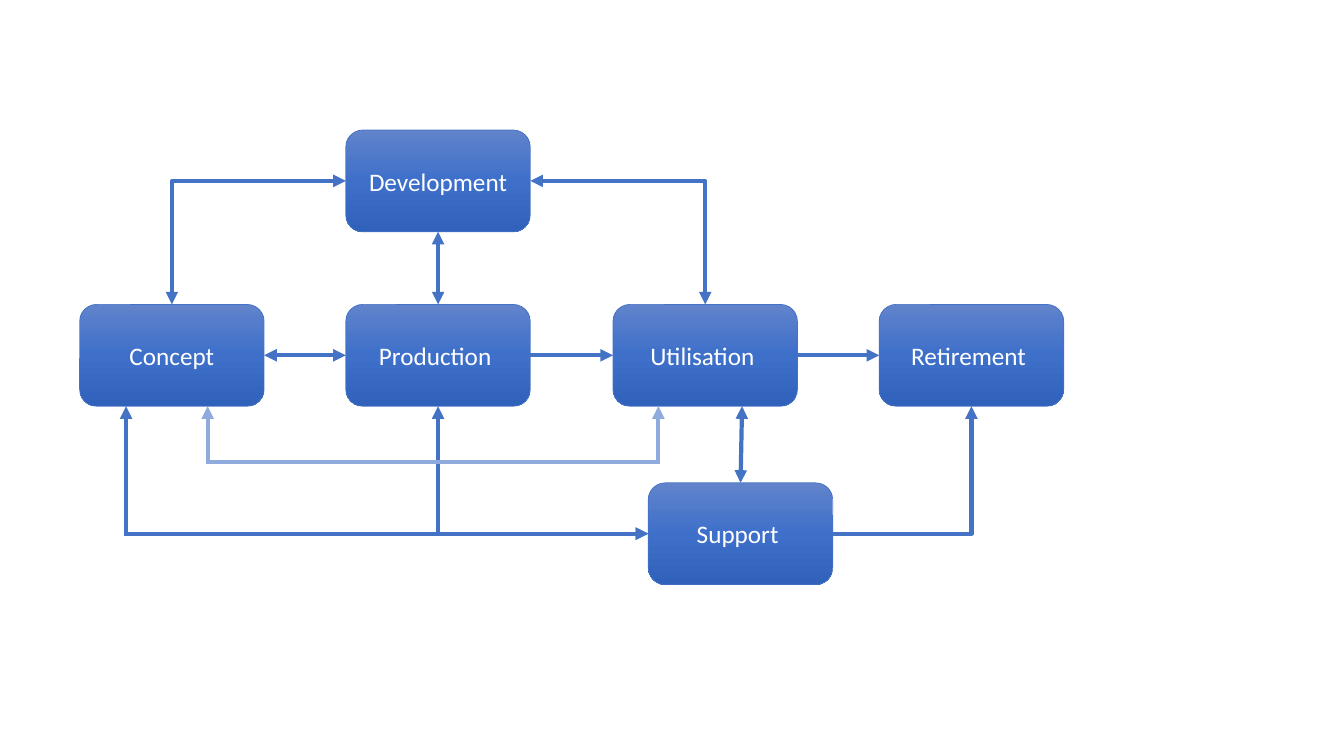
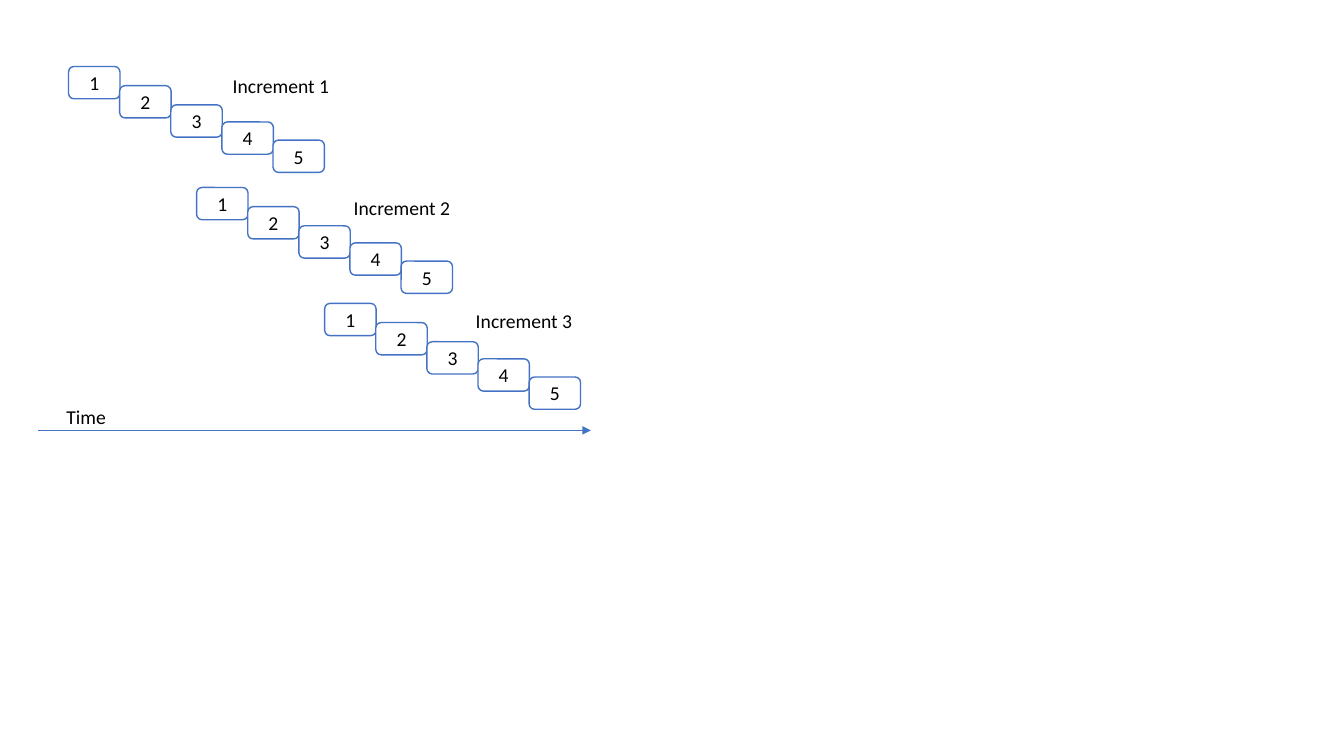
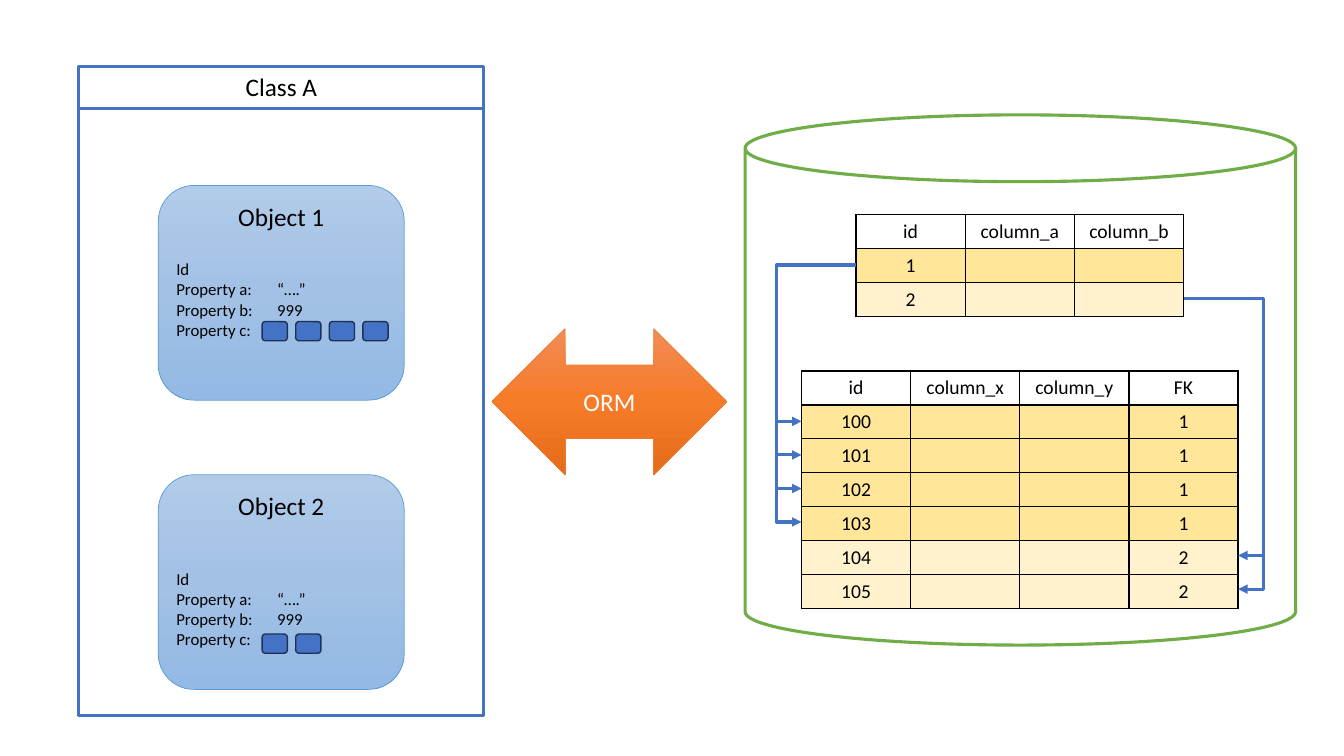
import copy

import pptx
import pptx.dml.color
import pptx.enum.shapes
import pptx.enum.text
import pptx.oxml.ns
import pptx.oxml.xmlchemy
import pptx.util

Inches = pptx.util.Inches
SHAPES = pptx.enum.shapes.MSO_SHAPE
CONNECTORS = pptx.enum.shapes.MSO_CONNECTOR
ALIGN = pptx.enum.text.PP_ALIGN
ANCHOR = pptx.enum.text.MSO_ANCHOR
qn = pptx.oxml.ns.qn
new_element = pptx.oxml.xmlchemy.OxmlElement

FONT = "Calibri"
BLUE, LIGHT_BLUE, NAVY, SKY = "4472C4", "8FAADC", "1E3256", "5B9BD5"
ORANGE, GREEN, WHITE, BLACK = "ED7D31", "70AD47", "FFFFFF", "000000"
GOLD, CREAM = "FFE699", "FFF2CC"
BLUE_GRADIENT = ("6183CB", "3E70CA", "3062BB")
SKY_GRADIENT = ("B1CBE9", "A3C1E5", "93B9E4")
ORANGE_GRADIENT = ("F18C57", "F67B28", "E56C19")
TOP, LEFT, BOTTOM, RIGHT = range(4)


def rgb(color):
    return pptx.dml.color.RGBColor.from_string(color)


def write(frame, lines, size, color=BLACK, align=ALIGN.LEFT):
    for index, line in enumerate(lines):
        paragraph = frame.paragraphs[0] if index == 0 else frame.add_paragraph()
        paragraph.alignment = align
        run = paragraph.add_run()
        run.text = line
        run.font.name = FONT
        run.font.size = pptx.util.Pt(size)
        run.font.color.rgb = rgb(color)


def paint(fill, color):
    if color is None:
        fill.background()
    elif isinstance(color, str):
        fill.solid()
        fill.fore_color.rgb = rgb(color)
    else:
        fill.gradient()
        fill.gradient_angle = 270
        first = fill.gradient_stops[0]._gs
        first.addnext(copy.deepcopy(first))
        for index, stop in enumerate(fill.gradient_stops):
            stop.position = index / 2
            stop.color.rgb = rgb(color[index])


def add_box(slide, kind, box, fill, line, width, text=None, size=18,
            color=BLACK, anchor=ANCHOR.MIDDLE):
    shape = slide.shapes.add_shape(kind, *map(Inches, box))
    shape.shadow.inherit = False
    paint(shape.fill, fill)
    shape.line.color.rgb = rgb(line)
    shape.line.width = pptx.util.Pt(width)
    if text:
        shape.text_frame.word_wrap = True
        shape.text_frame.vertical_anchor = anchor
        write(shape.text_frame, [text], size, color, ALIGN.CENTER)
    return shape


def add_label(slide, box, lines, size):
    frame = slide.shapes.add_textbox(*map(Inches, box)).text_frame
    frame.word_wrap = True
    write(frame, lines, size)


def add_line(slide, begin, end, width, color=BLUE, kind=CONNECTORS.STRAIGHT,
             head=False, tail=False):
    connector = slide.shapes.add_connector(kind, *map(Inches, begin + end))
    connector.line.color.rgb = rgb(color)
    connector.line.width = pptx.util.Pt(width)
    properties = connector._element.spPr
    line = properties.find(qn("a:ln"))
    for name, wanted in (("a:headEnd", head), ("a:tailEnd", tail)):
        if wanted:
            arrowhead = new_element(name)
            arrowhead.set("type", "triangle")
            line.append(arrowhead)
    properties.append(new_element("a:effectLst"))
    return connector


def add_route(slide, points, width, color=BLUE):
    last = len(points) - 2
    for index, (begin, end) in enumerate(zip(points, points[1:])):
        connector = add_line(slide, begin, end, width, color,
                             head=index == 0, tail=index == last)
        connector._element.spPr.find(qn("a:ln")).set("cap", "sq")


def turn_to_rotation(connector):
    frame = connector._element.spPr.find(qn("a:xfrm"))
    if frame.get("flipH") == "1":
        flipped = frame.get("flipV") == "1"
        del frame.attrib["flipH"]
        frame.set("rot", "10800000")
        frame.set("flipV", "0" if flipped else "1")


def site(shape, side):
    x, y = shape.left.inches, shape.top.inches
    width, height = shape.width.inches, shape.height.inches
    return {TOP: (x + width / 2, y), LEFT: (x, y + height / 2),
            BOTTOM: (x + width / 2, y + height),
            RIGHT: (x + width, y + height / 2)}[side]


def join(slide, source, source_side, target, target_side, head=False, corner=False):
    kind = CONNECTORS.ELBOW if corner else CONNECTORS.STRAIGHT
    connector = add_line(slide, site(source, source_side),
                         site(target, target_side), 3, kind=kind, head=head, tail=True)
    connector.begin_connect(source, source_side)
    connector.end_connect(target, target_side)
    if corner:
        connector._element.spPr.find(qn("a:prstGeom")).set("prst", "bentConnector2")
        turn_to_rotation(connector)


def add_bracket(slide, begin, end, reach):
    connector = add_line(slide, begin, end, 2.25, kind=CONNECTORS.ELBOW, tail=True)
    geometry = connector._element.spPr.find(qn("a:prstGeom"))
    values = geometry.find(qn("a:avLst"))
    if values is None:
        values = new_element("a:avLst")
        geometry.append(values)
    ratio = 1 + reach / abs(end[0] - begin[0])
    guide = new_element("a:gd")
    guide.set("name", "adj1")
    guide.set("fmla", f"val {round(ratio * 100000)}")
    values.append(guide)
    turn_to_rotation(connector)


def build_life_cycle(slide):
    places = {"Concept": (0.79, 3.02), "Development": (3.43, 1.29),
              "Production ": (3.43, 3.02), "Utilisation ": (6.08, 3.02),
              "Support ": (6.43, 4.79), "Retirement ": (8.72, 3.02)}
    concept, development, production, utilisation, support, retirement = [
        add_box(slide, SHAPES.ROUNDED_RECTANGLE, place + (1.83, 1.01),
                BLUE_GRADIENT, BLUE, 0.5, name, color=WHITE)
        for name, place in places.items()]
    join(slide, development, LEFT, concept, TOP, head=True, corner=True)
    join(slide, development, BOTTOM, production, TOP, head=True)
    join(slide, production, LEFT, concept, RIGHT, head=True)
    join(slide, development, RIGHT, utilisation, TOP, head=True, corner=True)
    join(slide, support, LEFT, production, BOTTOM, head=True, corner=True)
    join(slide, production, RIGHT, utilisation, LEFT)
    join(slide, utilisation, RIGHT, retirement, LEFT)
    join(slide, support, RIGHT, retirement, BOTTOM, corner=True)
    upkeep = add_line(slide, site(support, TOP), (7.36, 4.03), 3, head=True, tail=True)
    upkeep.begin_connect(support, TOP)
    start = site(support, LEFT)
    add_route(slide, [start, (1.25, start[1]), (1.25, 4.03)], 3)
    add_route(slide, [(6.53, 4.03), (6.53, 4.58), (2.06, 4.58), (2.06, 4.03)],
              3, LIGHT_BLUE)


def add_increment(slide, left, top):
    for index, drop in enumerate((0, 0.19, 0.38, 0.55, 0.73)):
        add_box(slide, SHAPES.ROUNDED_RECTANGLE,
                (left + index * 0.507, top + drop, 0.51, 0.32),
                WHITE, BLUE, 1, str(index + 1), 14)


def build_increments(slide):
    starts = ((0.68, 0.66), (1.95, 1.86), (3.22, 3.01))
    labels = ((2.21, 0.68), (3.41, 1.89), (4.62, 3.02))
    for number, (start, label) in enumerate(zip(starts, labels), 1):
        add_increment(slide, *start)
        add_label(slide, label + (2.09, 0.34), [f"Increment {number}"], 14)
    add_line(slide, (0.38, 4.27), (5.86, 4.27), 1, tail=True)
    add_label(slide, (0.56, 3.97, 1.14, 0.34), ["Time"], 14)


def add_object(slide, left, top, name, text_drop, tile_drop, tile_count):
    add_box(slide, SHAPES.ROUNDED_RECTANGLE, (left, top, 2.44, 2.13),
            SKY_GRADIENT, SKY, 0.5, name, anchor=ANCHOR.TOP)
    add_label(slide, (left + 0.08, top + text_drop, 2.35, 0.91),
              ["Id", "Property a:\t“….”", "Property b:\t999", "Property c:"], 12)
    for index in range(tile_count):
        add_box(slide, SHAPES.ROUNDED_RECTANGLE,
                (left + 1.03 + index * 0.333, top + tile_drop, 0.25, 0.19),
                BLUE, NAVY, 1)


def add_class(slide, left, top, width, height):
    add_box(slide, SHAPES.RECTANGLE, (left, top, width, height),
            WHITE, BLUE, 2.25, "Class A", anchor=ANCHOR.TOP)
    add_box(slide, SHAPES.RECTANGLE, (left, top + 0.42, width, height - 0.42),
            None, BLUE, 2.25)
    add_object(slide, left + 0.79, top + 1.18, "Object 1", 0.68, 1.35, 4)
    add_object(slide, left + 0.79, top + 4.05, "Object 2", 0.88, 1.58, 2)


def add_border(cell):
    properties = cell._tc.get_or_add_tcPr()
    for index, side in enumerate(("L", "R", "T", "B")):
        line = new_element(f"a:ln{side}")
        line.set("w", str(int(pptx.util.Pt(1))))
        solid = new_element("a:solidFill")
        color = new_element("a:srgbClr")
        color.set("val", BLACK)
        solid.append(color)
        line.append(solid)
        properties.insert(index, line)


def add_data_table(slide, box, rows, fills):
    shape = slide.shapes.add_table(len(rows), len(rows[0]), *map(Inches, box))
    table = shape.table
    table.first_row = table.horz_banding = False
    for row_index, row in enumerate(rows):
        for column_index, text in enumerate(row):
            cell = table.cell(row_index, column_index)
            paint(cell.fill, fills[row_index])
            add_border(cell)
            if text:
                write(cell.text_frame, [text], 14, align=ALIGN.CENTER)
            else:
                cell.text_frame.paragraphs[0].font.size = pptx.util.Pt(14)


def add_database(slide, left, top, width, height):
    can = add_box(slide, SHAPES.CAN, (left, top, width, height), WHITE, GREEN, 2.25)
    can.adjustments[0] = 0.126
    parent_left, parent_top = left + 1.1, top + 0.99
    child_left, child_top = left + 0.56, top + 2.54
    row_height = 0.333
    parents = [("id", "column_a", "column_b"), ("1", "", ""), ("2", "", "")]
    keys = "111122"
    children = [("id", "column_x", "column_y", "FK")]
    children += [(str(100 + index), "", "", key) for index, key in enumerate(keys)]
    add_data_table(slide, (parent_left, parent_top, 3.25, 1), parents,
                   (None, GOLD, CREAM))
    add_data_table(slide, (child_left, child_top, 4.33, 2.33), children,
                   [None] + [GOLD if key == "1" else CREAM for key in keys])
    for index, key in enumerate(keys, 1):
        parent_y = parent_top + (int(key) + 0.5) * row_height
        child_y = child_top + (index + 0.5) * row_height
        begin_x, end_x = ((parent_left, child_left) if key == "1"
                          else (parent_left + 3.25, child_left + 4.33))
        add_bracket(slide, (begin_x, parent_y), (end_x, child_y), 0.25)


def build_mapping(slide):
    add_database(slide, 7.39, 1.14, 5.46, 5.26)
    add_class(slide, 0.78, 0.66, 4.02, 6.44)
    add_box(slide, SHAPES.LEFT_RIGHT_ARROW, (4.88, 3.26, 2.33, 1.45),
            ORANGE_GRADIENT, ORANGE, 0.5, "ORM", color=WHITE)


def main():
    presentation = pptx.Presentation()
    presentation.slide_width = Inches(13.33)
    presentation.slide_height = Inches(7.5)
    for build in (build_life_cycle, build_increments, build_mapping):
        build(presentation.slides.add_slide(presentation.slide_layouts[6]))
    presentation.save("out.pptx")


if __name__ == "__main__":
    main()
